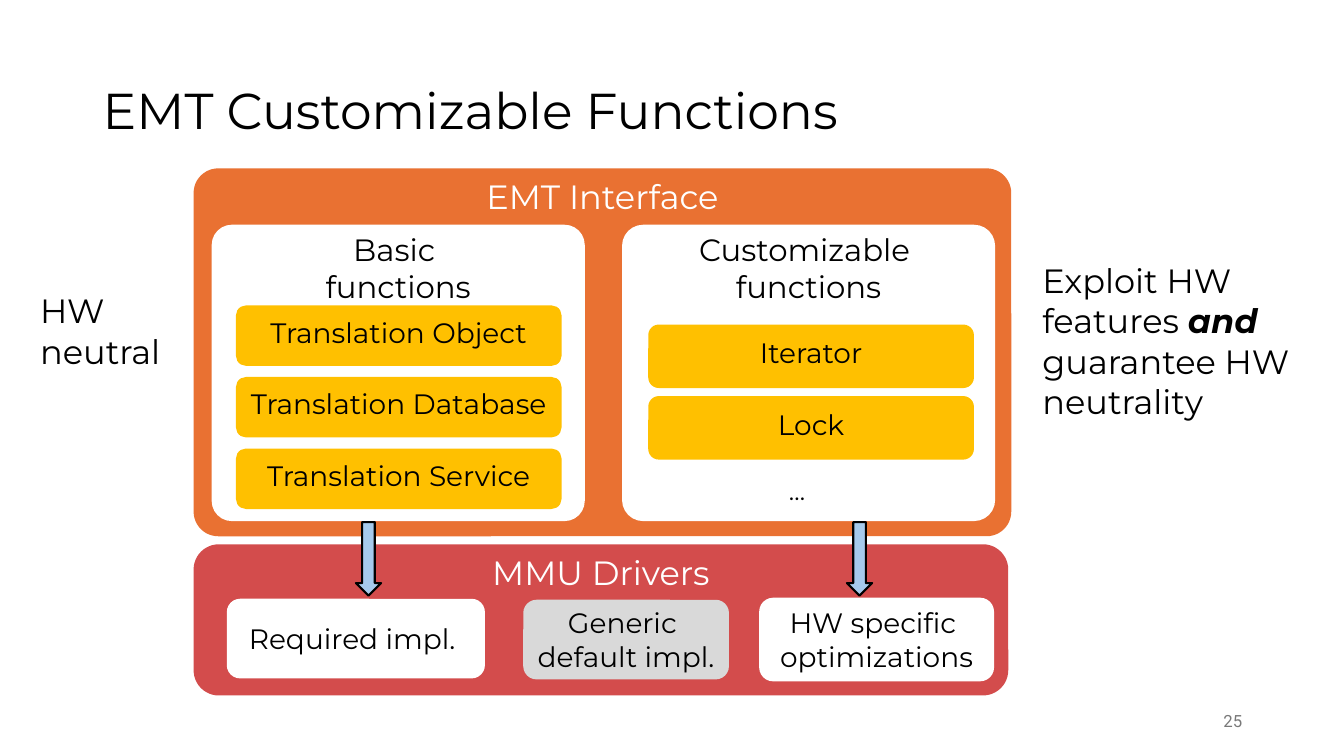
"""Build the slide on EMT customizable functions."""
from pptx import Presentation
from pptx.dml.color import RGBColor
from pptx.enum.shapes import MSO_SHAPE
from pptx.enum.text import MSO_ANCHOR, PP_ALIGN
from pptx.util import Pt

PX = 9144
COLORS = {
    "black": "000000", "white": "FFFFFF", "red": "D34C4C", "orange": "E97132",
    "yellow": "FFC000", "grey": "D9D9D9", "blue": "A6CAEC", "number": "797979",
}
TOP, MIDDLE = MSO_ANCHOR.TOP, MSO_ANCHOR.MIDDLE
LEFT, CENTER, RIGHT = PP_ALIGN.LEFT, PP_ALIGN.CENTER, PP_ALIGN.RIGHT

prs = Presentation()
prs.slide_width, prs.slide_height = 1333 * PX, 750 * PX
s = prs.slides.add_slide(prs.slide_layouts[6])


def write(sp, lines, size, color="black", align=CENTER, anchor=TOP,
          inset=0, wrap=False, spacing=None, font="Montserrat"):
    tf = sp.text_frame
    tf.word_wrap = wrap
    tf.vertical_anchor = anchor
    tf.margin_left = tf.margin_right = inset * PX
    tf.margin_top = tf.margin_bottom = inset * PX // 2
    tf.text = lines
    for p in tf.paragraphs:
        p.alignment = align
        p.line_spacing = spacing
        p.font.name = font
        p.font.size = Pt(size)
        p.font.color.rgb = RGBColor.from_string(COLORS[color])
    return tf


def draw(kind, box, fill, adj=None):
    sp = s.shapes.add_shape(kind, *(v * PX for v in box))
    sp.shadow.inherit = False
    sp.fill.solid()
    sp.fill.fore_color.rgb = RGBColor.from_string(COLORS[fill])
    sp.line.fill.background()
    if adj is not None:
        sp.adjustments[0] = adj
    return sp


title = s.shapes.add_textbox(*(v * PX for v in (92, 40, 1150, 145)))
write(title, "EMT Customizable Functions", 36, align=LEFT, anchor=MIDDLE,
      inset=10, wrap=True, spacing=0.9)

panels = [
    ((192, 540, 808, 150), "red", 0.167, "MMU Drivers", 24, "white"),
    ((192, 167, 811, 365), "orange", 0.067, "EMT Interface", 24, "white"),
    ((210, 223, 370, 294), "white", 0.068, "Basic \nfunctions", 22, "black"),
    ((617, 223, 370, 294), "white", 0.071, "Customizable \nfunctions", 22, "black"),
]
for box, fill, adj, label, size, color in panels:
    write(draw(MSO_SHAPE.ROUNDED_RECTANGLE, box, fill, adj), label, size, color)

more = s.shapes.add_textbox(*(v * PX for v in (759, 472, 63, 30)))
write(more, "…", 18, wrap=True)

function_columns = [
    (234, 303, 60, ["Translation Object", "Translation Database", "Translation Service"]),
    (643, 322, 63, ["Iterator", "Lock"]),
]
for x, y, height, names in function_columns:
    for i, name in enumerate(names):
        sp = draw(MSO_SHAPE.FLOWCHART_ALTERNATE_PROCESS,
                  (x, y + 71 * i, 323, height), "yellow")
        write(sp, name, 20, anchor=MIDDLE, wrap=True, spacing=0.75)

drivers = [
    ((225, 594, 256, 79), "white", "Required impl. "),
    ((519, 595, 204, 79), "grey", "Generic \ndefault impl."),
    ((753, 593, 233, 83), "white", "HW specific \noptimizations"),
]
for box, fill, label in drivers:
    write(draw(MSO_SHAPE.ROUNDED_RECTANGLE, box, fill), label, 20, anchor=MIDDLE)

exploit = s.shapes.add_textbox(*(v * PX for v in (1024, 253, 290, 212)))
tf = write(exploit, "Exploit HW features \nguarantee HW neutrality", 24,
           align=LEFT, inset=10, wrap=True)
r = tf.paragraphs[0].add_run()
r.text = "and"
r.font.bold = r.font.italic = True

neutral = s.shapes.add_textbox(*(v * PX for v in (30, 283, 146, 131)))
write(neutral, "HW\nneutral", 24, align=LEFT, inset=10, wrap=True)

number = s.shapes.add_textbox(*(v * PX for v in (942, 695, 300, 40)))
write(number, "25", 12, "number", RIGHT, MIDDLE, inset=10, wrap=True, font="Roboto")

for x in (353, 840):
    arrow = draw(MSO_SHAPE.DOWN_ARROW, (x, 518, 25, 73), "blue")
    arrow.line.color.rgb = RGBColor.from_string(COLORS["black"])
    arrow.line.width = Pt(1.5)

prs.save("out.pptx")
